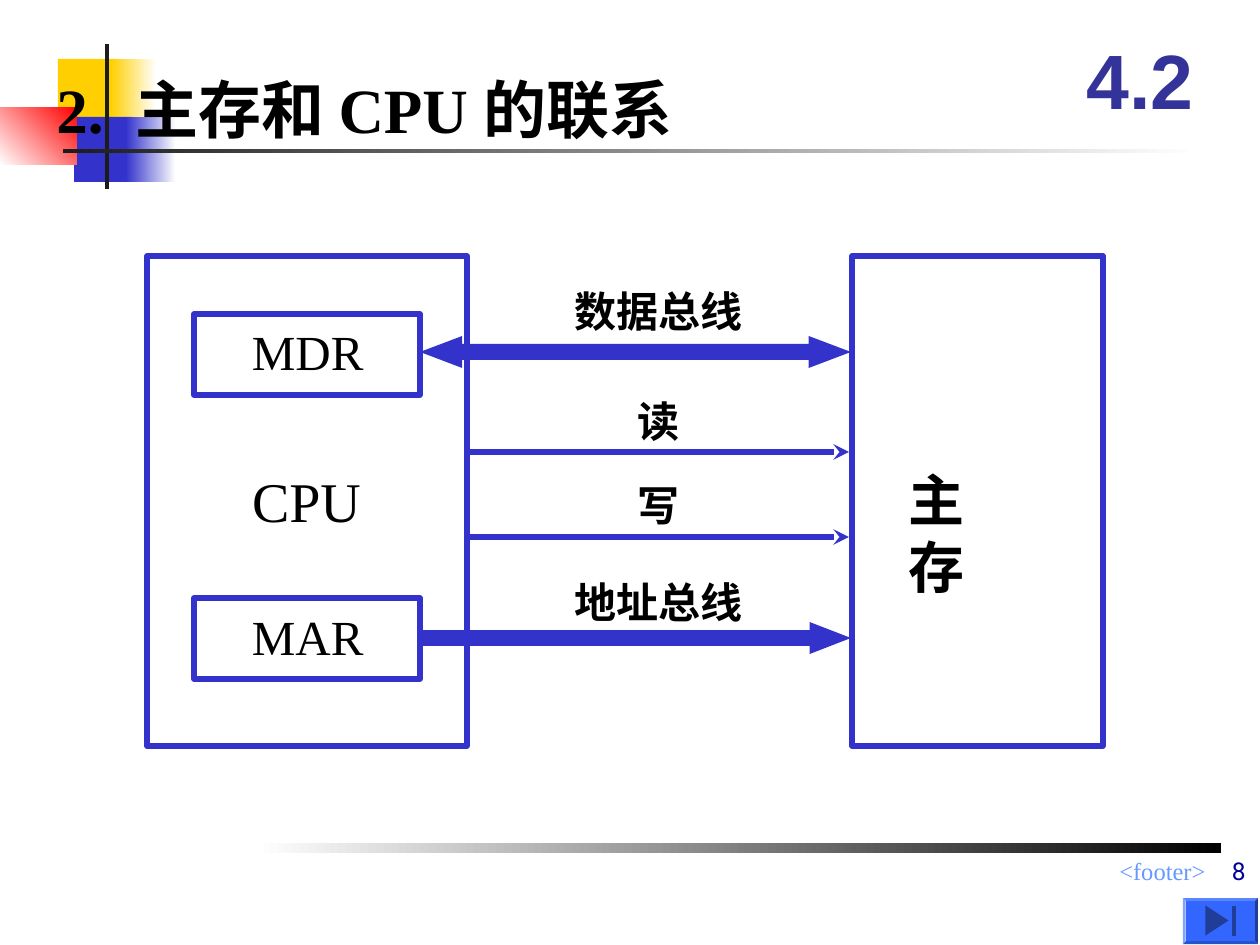
import dataclasses
import typing

import pptx
import pptx.dml.color
import pptx.enum.shapes
import pptx.enum.text
import pptx.oxml
import pptx.oxml.ns
import pptx.util

SCALE = 914400 / 126
COLORS = {
    "gold": "FFCF01", "blue": "3333CC", "red": "FF0000", "white": "FFFFFF",
    "dark": "1C1C1C", "black": "000000", "sky": "6699FF", "navy": "333399",
    "page": "000099", "button": "3366FF", "icon": "1F3D99",
}
KIND = pptx.enum.shapes.MSO_SHAPE
ALIGN = pptx.enum.text.PP_ALIGN
ANCHOR = pptx.enum.text.MSO_ANCHOR
SPACE = pptx.oxml.ns.nsdecls("a")
ROMAN = "Times New Roman"
HAN = "Noto Sans CJK SC"
PAD = (0.1, 0.05)


@dataclasses.dataclass
class Block:
    left: int
    top: int
    width: int
    height: int
    fill: typing.Optional[str] = None
    fade: typing.Optional[str] = None
    angle: int = 180
    line: typing.Optional[str] = None
    kind: int = KIND.RECTANGLE
    adjust: tuple = ()
    turn: int = 0


@dataclasses.dataclass
class Label:
    words: str
    left: int
    top: int
    width: int
    height: int
    size: int
    face: str = ROMAN
    color: str = "black"
    bold: bool = False
    align: int = ALIGN.LEFT
    anchor: int = ANCHOR.TOP
    inset: tuple = (0, 0)
    wrap: bool = False
    gap: int = 0


def px(value: int) -> int:
    return round(value * SCALE)


def rgb(name: str) -> pptx.dml.color.RGBColor:
    return pptx.dml.color.RGBColor.from_string(COLORS[name])


def apply(target: typing.Any, values: dict) -> None:
    for key, value in values.items():
        setattr(target, key, value)


def draw_block(slide: typing.Any, block: Block) -> None:
    shape = slide.shapes.add_shape(
        block.kind, *map(px, (block.left, block.top, block.width, block.height)))
    shape.shadow.inherit = False
    shape.rotation = block.turn
    for index, value in enumerate(block.adjust):
        shape.adjustments[index] = value
    if block.fade:
        shape.fill.gradient()
        shape.fill.gradient_angle = block.angle
        for stop, name, place in zip(
                shape.fill.gradient_stops, (block.fill, block.fade), (0, 1)):
            stop.color.rgb = rgb(name)
            stop.position = place
    elif block.fill:
        shape.fill.solid()
        shape.fill.fore_color.rgb = rgb(block.fill)
    else:
        shape.fill.background()
    if block.line:
        shape.line.color.rgb = rgb(block.line)
        shape.line.width = pptx.util.Pt(3)
    else:
        shape.line.fill.background()


def draw_label(slide: typing.Any, label: Label) -> None:
    box = slide.shapes.add_textbox(
        *map(px, (label.left, label.top, label.width, label.height)))
    side, edge = map(pptx.util.Inches, label.inset)
    apply(box.text_frame, {
        "word_wrap": label.wrap, "vertical_anchor": label.anchor,
        "margin_left": side, "margin_right": side,
        "margin_top": edge, "margin_bottom": edge,
    })
    para = box.text_frame.paragraphs[0]
    para.alignment = label.align
    parts = label.words.partition(" ") if label.gap else (label.words,)
    for part in parts:
        run = para.add_run()
        run.text = part
        apply(run.font, {"size": pptx.util.Pt(label.size),
                         "name": label.face, "bold": label.bold})
        run.font.color.rgb = rgb(label.color)
        props = run._r.get_or_add_rPr()
        props.append(pptx.oxml.parse_xml(f'<a:ea {SPACE} typeface="{HAN}"/>'))
        if part == " ":
            props.set("spc", str(label.gap * 100))


def draw_signal(slide: typing.Any, left: int, right: int, top: int) -> None:
    wire = slide.shapes.add_connector(
        pptx.enum.shapes.MSO_CONNECTOR.STRAIGHT,
        px(left), px(top), px(right), px(top))
    wire.line.color.rgb = rgb("blue")
    wire.line.width = pptx.util.Pt(3)
    wire.line._get_or_add_ln().append(
        pptx.oxml.parse_xml(f'<a:tailEnd {SPACE} type="stealth"/>'))
    wire._element.spPr.append(pptx.oxml.parse_xml(f"<a:effectLst {SPACE}/>"))


DECOR = [
    Block(58, 59, 60, 66, "gold"),
    Block(111, 59, 45, 66, "white", "gold"),
    Block(74, 117, 58, 65, "blue"),
    Block(126, 117, 50, 65, "white", "blue"),
    Block(0, 107, 77, 58, "red", "white", 225),
    Block(105, 44, 4, 145, "dark"),
    Block(63, 149, 1134, 4, "white", "dark"),
    Block(255, 843, 966, 10, "black", "white"),
]
UNITS = [
    Block(147, 256, 320, 490, line="blue"),
    Block(852, 256, 251, 490, line="blue"),
    *(Block(194, top, 226, 81, line="blue") for top in (314, 598)),
]
BUSES = [
    Block(420, 336, 431, 32, "blue", kind=KIND.LEFT_RIGHT_ARROW, adjust=(0.5, 1.32)),
    Block(420, 622, 431, 32, "blue", kind=KIND.RIGHT_ARROW, adjust=(0.5, 1.29)),
]
BUTTON = [
    Block(1183, 898, 75, 46, "button", kind=KIND.BEVEL, adjust=(0.06,)),
    Block(1202, 909, 30, 23, "icon", kind=KIND.ISOSCELES_TRIANGLE, turn=90),
    Block(1232, 906, 4, 30, "icon"),
]
LABELS = [
    Label("<footer>", 494, 850, 724, 33, 14, color="sky",
          align=ALIGN.RIGHT, inset=PAD, wrap=True),
    Label("2. 主存和 CPU 的联系", 44, 64, 687, 88, 36, bold=True, inset=PAD, gap=9),
    Label("MDR", 252, 321, 112, 59, 28),
    Label("MAR", 252, 606, 112, 59, 28),
    Label("CPU", 252, 467, 110, 67, 32),
    Label("主 存", 896, 459, 163, 81, 32, bold=True, inset=PAD, gap=8),
    *(Label(words, left, top, width, 50, 24, HAN, bold=True)
      for words, left, top, width in (
          ("数据总线", 575, 286, 168), ("读", 638, 396, 42),
          ("写", 638, 480, 42), ("地址总线", 575, 577, 168))),
    Label("4.2", 1061, 21, 158, 116, 44, "Arial", "navy", True,
          ALIGN.CENTER, ANCHOR.MIDDLE, PAD, True),
    Label("8", 656, 829, 602, 63, 14, "Roboto", "page",
          align=ALIGN.RIGHT, anchor=ANCHOR.BOTTOM, inset=PAD, wrap=True),
]


def main() -> None:
    deck = pptx.Presentation()
    apply(deck, {"slide_width": px(1260), "slide_height": px(945)})
    slide = deck.slides.add_slide(deck.slide_layouts[6])
    for block in DECOR + UNITS + BUSES + BUTTON:
        draw_block(slide, block)
    for top in (452, 537):
        draw_signal(slide, 469, 849, top)
    for label in LABELS:
        draw_label(slide, label)
    deck.save("out.pptx")


if __name__ == "__main__":
    main()
